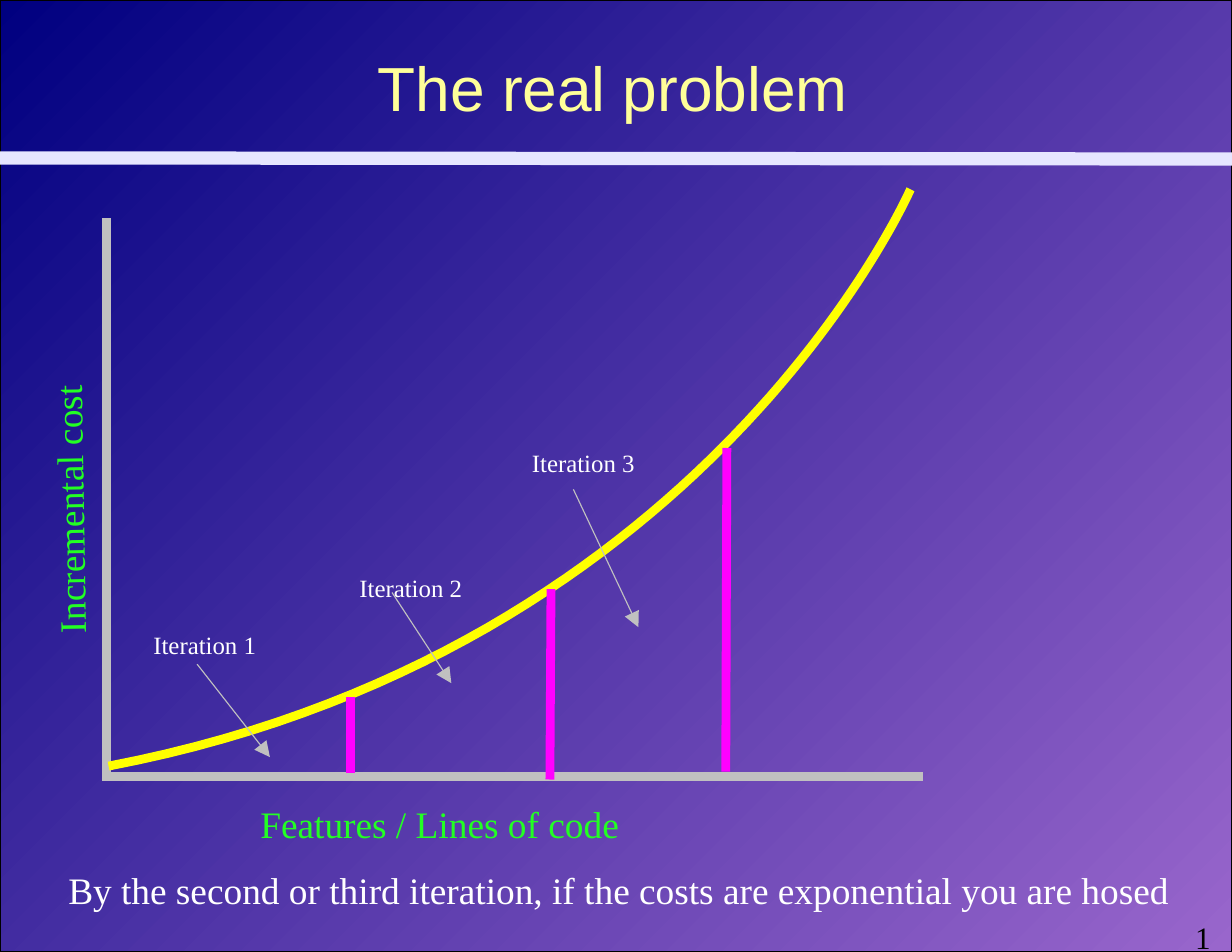
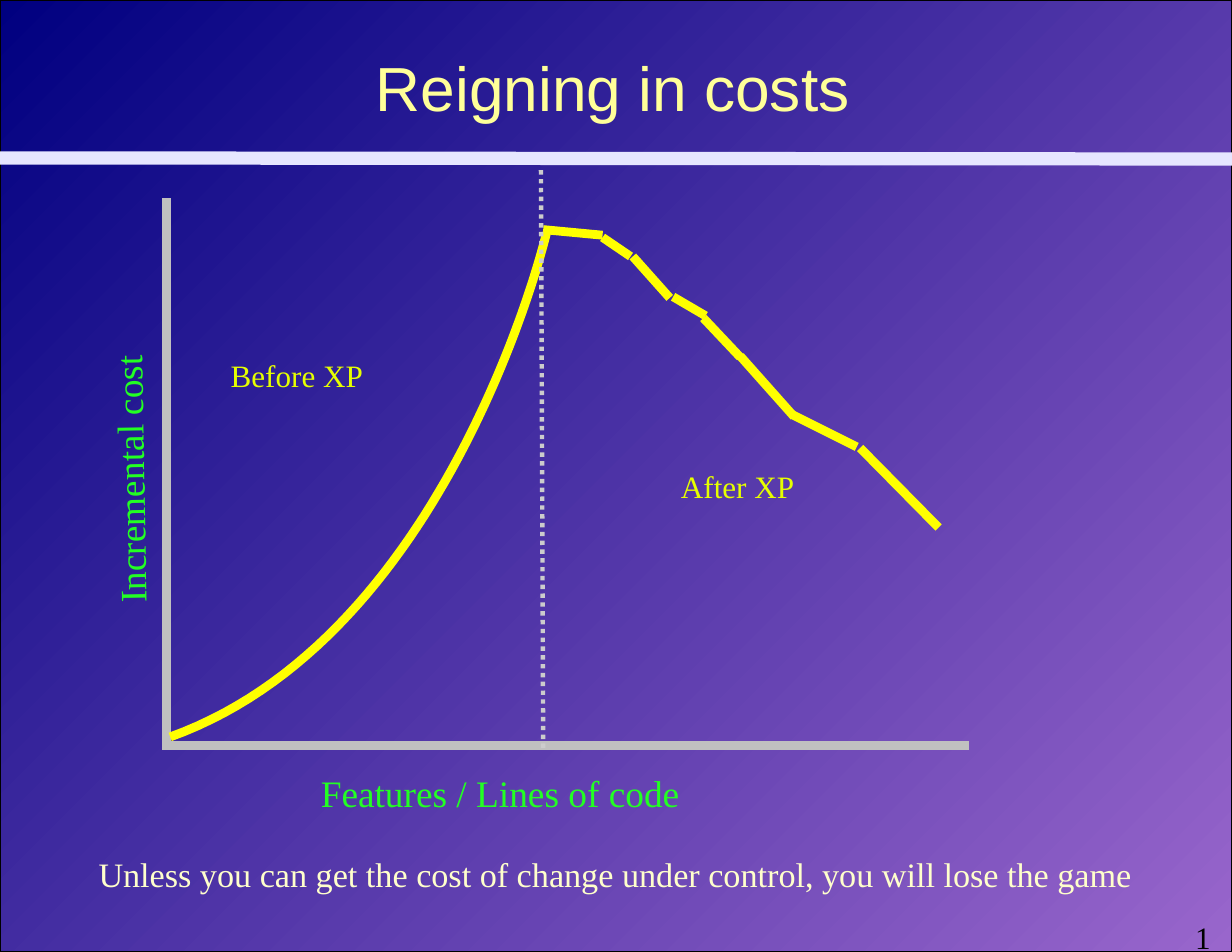
from lxml.etree import SubElement
from pptx import Presentation
from pptx.dml.color import RGBColor
from pptx.enum.dml import MSO_LINE
from pptx.enum.shapes import MSO_CONNECTOR, MSO_SHAPE
from pptx.enum.text import MSO_ANCHOR, MSO_AUTO_SIZE, PP_ALIGN
from pptx.oxml.ns import qn
from pptx.util import Inches, Pt

COLORS = {
    "navy": "000080", "violet": "9966CC", "black": "000000", "band": "E6E6FF",
    "title": "FFFF99", "axis": "C0C0C0", "axis_title": "23FF23", "curve": "FFFF00",
    "marker": "FF00FF", "white": "FFFFFF", "divider": "CCCCCC", "phase": "E6FF00",
    "cream": "FFFFCC",
}
RGB = {name: RGBColor.from_string(value) for name, value in COLORS.items()}
THICK = 5.67

prs = Presentation()
prs.slide_width, prs.slide_height = Inches(11), Inches(8.5)
COL, ROW = prs.slide_width / 110, prs.slide_height / 85


def add_line(s, start, end, color, width=THICK, arrow=False, dash=None):
    ends = [round(v * unit) for v, unit in zip((*start, *end), (COL, ROW) * 2)]
    cxn = s.shapes.add_connector(MSO_CONNECTOR.STRAIGHT, *ends)
    cxn.line.color.rgb = RGB[color]
    cxn.line.width = Pt(width)
    if dash:
        cxn.line.dash_style = dash
    if arrow:
        SubElement(cxn.line._get_or_add_ln(), qn("a:tailEnd"), type="triangle", w="lg", len="lg")
    SubElement(cxn._element.spPr, qn("a:effectLst"))
    return cxn


def add_text(s, text, left, top, width, height, size, color, rotation=0):
    box = [round(v * unit) for v, unit in zip((left, top, width, height), (COL, ROW) * 2)]
    sp = s.shapes.add_textbox(*box)
    sp.rotation = rotation
    tf = sp.text_frame
    tf.margin_left = tf.margin_right = tf.margin_top = tf.margin_bottom = 0
    tf.word_wrap = True
    tf.auto_size = MSO_AUTO_SIZE.NONE
    r = tf.paragraphs[0].add_run()
    r.text = text
    r.font.name = "Times New Roman"
    r.font.size = Pt(size)
    r.font.color.rgb = RGB[color]
    return sp


charts = [
    {"title": "The real problem", "origin": (9.5, 69.3), "top": 19.5, "right": 82.4,
     "curve": [(9.7, 68.4), (63.3, 58.2), (81.3, 16.9), (81.3, 16.9)]},
    {"title": "Reigning in costs", "origin": (14.9, 66.6), "top": 17.7, "right": 86.5,
     "curve": [(15.2, 65.8), (40.3, 56.8), (48.8, 20.8), (48.8, 20.8)]},
]
layout = prs.slide_layouts[5]
slides = []

for chart in charts:
    s = prs.slides.add_slide(layout)
    slides.append(s)
    title = s.shapes.title
    title.left, title.top = round(11.1 * COL), 0
    title.width, title.height = round(87.2 * COL), round(15.4 * ROW)
    tf = title.text_frame
    tf.margin_left = tf.margin_right = tf.margin_top = tf.margin_bottom = 0
    tf.vertical_anchor = MSO_ANCHOR.MIDDLE
    tf.auto_size = MSO_AUTO_SIZE.NONE
    p = tf.paragraphs[0]
    p.alignment = PP_ALIGN.CENTER
    p.line_spacing = 1.02
    r = p.add_run()
    r.text = chart["title"]
    r.font.name = "Arial"
    r.font.size = Pt(40)
    r.font.color.rgb = RGB["title"]

    x, y = chart["origin"]
    add_line(s, (x, chart["top"]), (x, y + 0.4), "axis")
    add_line(s, (x, y), (chart["right"], y), "axis")

    points = []
    for step in range(61):
        t = step / 60
        weights = ((1 - t) ** 3, 3 * t * (1 - t) ** 2, 3 * t ** 2 * (1 - t), t ** 3)
        points.append(tuple(
            round(unit * sum(w * c[axis] for w, c in zip(weights, chart["curve"])))
            for axis, unit in enumerate((COL, ROW))))
    builder = s.shapes.build_freeform(*points[0])
    builder.add_line_segments(points[1:], close=False)
    curve = builder.convert_to_shape()
    curve.shadow.inherit = False
    curve.fill.background()
    curve.line.color.rgb = RGB["curve"]
    curve.line.width = Pt(THICK)

    add_text(s, "Features / Lines of code", x + 13.75, y + 2.2, 35, 4, 24, "axis_title")
    add_text(s, "Incremental cost", x - 15.4, y - 26.8, 24.1, 4, 24, "axis_title", 269)

problem, reigning = slides

for start, end in [((31.3, 62.2), (31.3, 69)), ((49.2, 52.6), (49.1, 69.6)),
                   ((64.9, 40), (64.8, 68.9))]:
    add_line(problem, start, end, "marker")
add_text(problem, "By the second or third iteration, if the costs are exponential you are hosed",
         6.1, 77.4, 102, 4, 24, "white")
iterations = [
    ((13.7, 56.2), (17.6, 59.3), (24.1, 67.6)),
    ((32.1, 51.1), (35, 52.9), (40.3, 61)),
    ((47.5, 40), (51.2, 43.7), (57, 56)),
]
for number, (label, start, end) in enumerate(iterations, 1):
    add_text(problem, f"Iteration {number}", *label, 11, 2.7, 16, "white")
    add_line(problem, start, end, "axis", 0.75, arrow=True)

decline = [
    ((48.5, 20.5), (53.8, 21)), ((53.8, 21.2), (56.3, 22.9)),
    ((56.5, 22.9), (59.8, 26.6)), ((60.1, 26.5), (63, 28.2)),
    ((62.8, 28.4), (66.1, 31.9)), ((66.1, 31.8), (70.9, 37.2)),
    ((70.7, 37), (76.5, 39.9)), ((76.8, 40), (83.8, 47.1)),
]
for start, end in decline:
    add_line(reigning, start, end, "curve")
add_line(reigning, (48.3, 15.2), (48.5, 66.9), "divider", 2.83, dash=MSO_LINE.ROUND_DOT)
add_text(reigning, "Before XP", 20.6, 31.8, 14, 3.3, 20, "phase")
add_text(reigning, "After XP", 60.8, 41.7, 12, 3.3, 20, "phase")
add_text(reigning, "Unless you can get the cost of change under control, you will lose the game",
         8.8, 76.2, 96, 3.7, 22, "cream")

backdrop = problem.shapes.add_shape(MSO_SHAPE.RECTANGLE, 0, 0, prs.slide_width, prs.slide_height)
backdrop.shadow.inherit = False
backdrop.fill.gradient()
backdrop.fill.gradient_angle = 315
for stop, color in zip(backdrop.fill.gradient_stops, ("navy", "violet")):
    stop.color.rgb = RGB[color]
backdrop.line.color.rgb = RGB["black"]
backdrop.line.width = Pt(0.75)
band = add_line(problem, (0, 14.1), (110, 14.2), "band", 8.5)
page = add_text(problem, "1", 106.7, 82, 2.4, 3, 20, "black")
for sp in (backdrop, band, page):
    prs.slide_master.shapes._spTree.append(sp._element)

prs.save("out.pptx")
